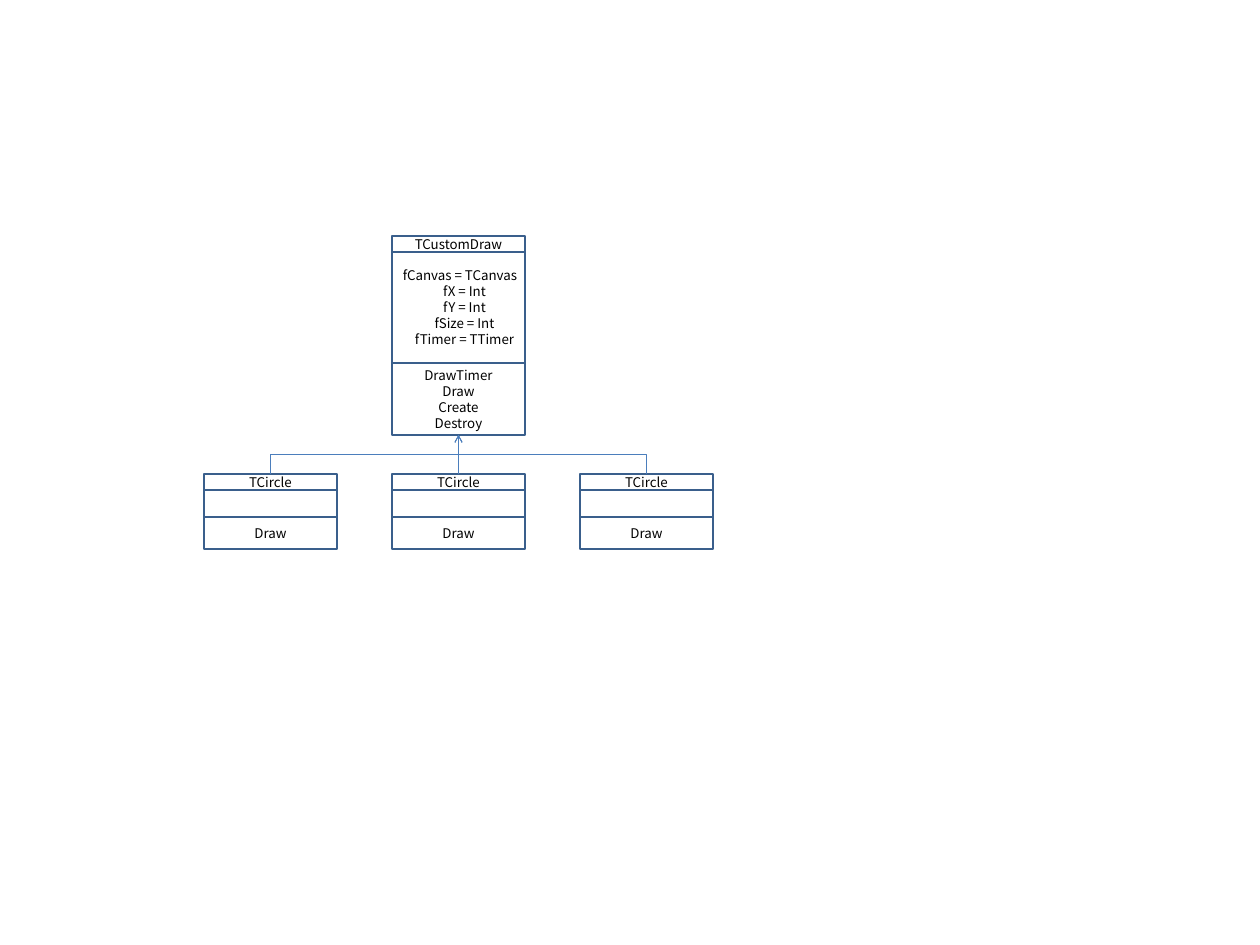
from lxml import etree
from pptx import Presentation, util as u
from pptx.dml.color import RGBColor
from pptx.enum import shapes as sh, text as tx
from pptx.oxml.ns import qn

PX = u.Inches(1) // 80
EDGE = RGBColor(0x3A, 0x5F, 0x8C)
LINK = RGBColor(0x4B, 0x7E, 0xBC)
INK = RGBColor(0, 0, 0)
FONT = "Noto Sans CJK KR"
WIDE = 133
STEP = 188
ROOT_X, ROOT_Y = 392, 236
KID_Y = 474

deck = Presentation()
deck.slide_width, deck.slide_height = 1260 * PX, 945 * PX
slide = deck.slides.add_slide(deck.slide_layouts[6])


def add_class(left, top, parts):
    """Stack one box per (height, lines, indents) part and return the boxes."""
    boxes = []
    for high, lines, pads in parts:
        box = slide.shapes.add_shape(sh.MSO_SHAPE.RECTANGLE, left * PX, top * PX,
                                     WIDE * PX, high * PX)
        box.shadow.inherit = False
        box.fill.background()
        box.line.color.rgb = EDGE
        box.line.width = u.Pt(2)
        frame = box.text_frame
        frame.margin_left = frame.margin_right = 0
        frame.margin_top = frame.margin_bottom = 0
        frame.vertical_anchor = tx.MSO_ANCHOR.MIDDLE
        frame.text = "\n".join(lines)
        for i, para in enumerate(frame.paragraphs):
            para.alignment = tx.PP_ALIGN.CENTER
            para.line_spacing = u.Pt(14.4)
            if pads:
                para._p.get_or_add_pPr().set("marL", str(pads[i] * PX))
            for run in para.runs:
                run.font.size = u.Pt(12)
                run.font.name = FONT
                run.font.color.rgb = INK
        boxes.append(box)
        top += high
    return boxes


def add_link(kind, x1, y1, x2, y2):
    link = slide.shapes.add_connector(kind, int(x1 * PX), int(y1 * PX),
                                      int(x2 * PX), int(y2 * PX))
    link.line.color.rgb = LINK
    link.line.width = u.Pt(0.75)
    line = link.line._get_or_add_ln()
    etree.SubElement(line, qn("a:tailEnd"), type="arrow")
    etree.SubElement(link.element.spPr, qn("a:effectLst"))
    return link


fields = ["fCanvas = TCanvas", "fX = Int", "fY = Int", "fSize = Int", "fTimer = TTimer"]
calls = ["DrawTimer", "Draw", "Create", "Destroy"]
root = add_class(ROOT_X, ROOT_Y, [(16, ["TCustomDraw"], []),
                                  (111, fields, [3, 12, 12, 12, 12]),
                                  (72, calls, [])])
foot = ROOT_Y + 16 + 111 + 72
mid = ROOT_X + WIDE / 2
gap = KID_Y - foot
level = foot + gap / 2

for side in (0, 1, -1):
    kid = add_class(ROOT_X + side * STEP, KID_Y,
                    [(16, ["TCircle"], []), (27, [], []), (32, ["Draw"], [])])
    if side == 0:
        link = add_link(sh.MSO_CONNECTOR.STRAIGHT, mid, KID_Y, mid, foot)
        link.begin_connect(kid[0], 0)
        link.end_connect(root[-1], 2)
    else:
        # An elbow runs sideways first, so it is laid out flat and turned upright.
        hub = mid + side * STEP / 2
        half = side * gap / 2
        link = add_link(sh.MSO_CONNECTOR.ELBOW, hub - half, level + STEP / 2,
                        hub + half, level - STEP / 2)
        turn = 270 if side > 0 else 90
        link.element.spPr.find(qn("a:xfrm")).set("rot", str(turn * 60000))

deck.save("out.pptx")
